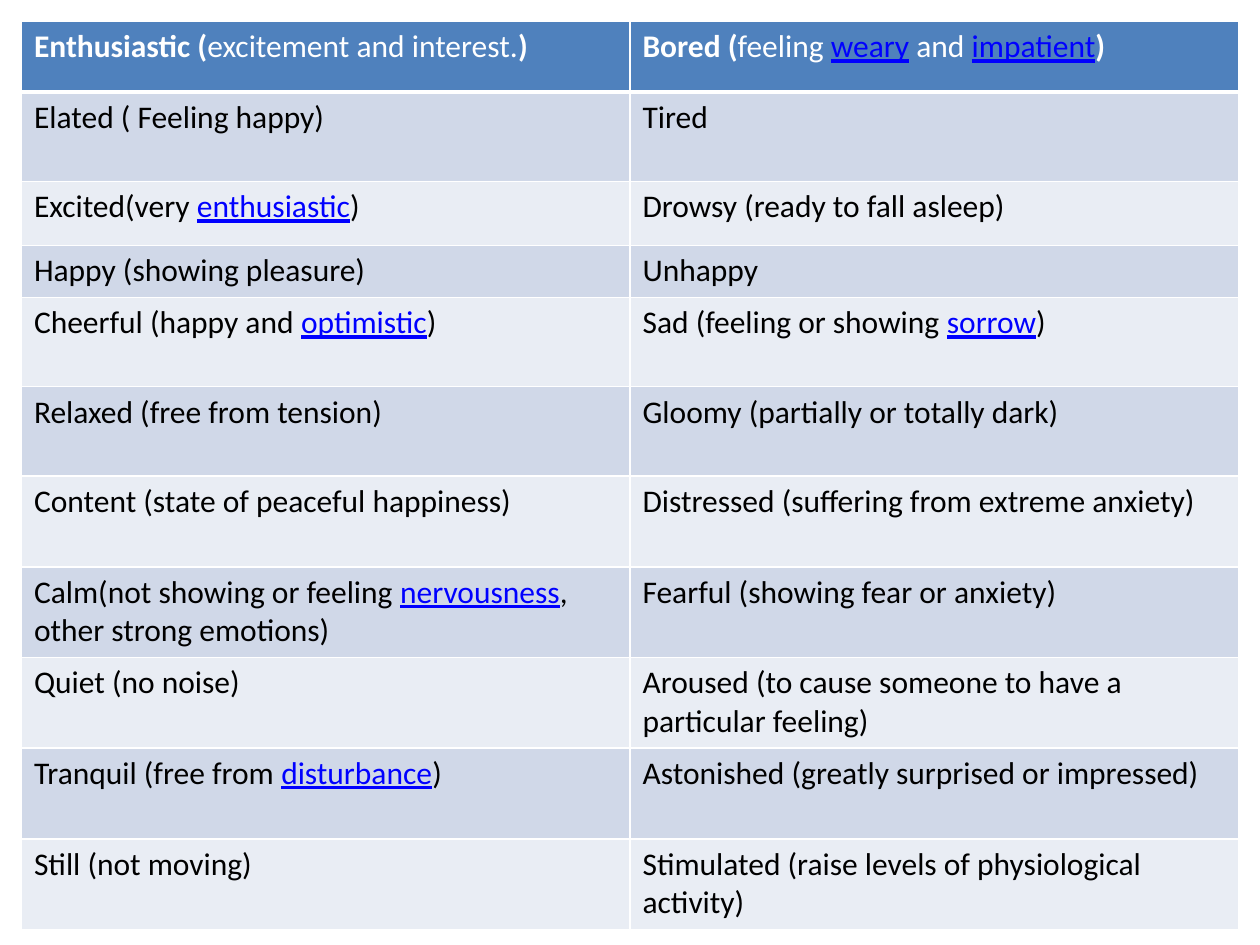
import lxml.etree
import pptx
import pptx.dml.color
import pptx.oxml.ns
import pptx.util

Inches = pptx.util.Inches
RGBColor = pptx.dml.color.RGBColor

WHITE = RGBColor(0xFF, 0xFF, 0xFF)
BLACK = RGBColor(0x00, 0x00, 0x00)
LINK_BLUE = RGBColor(0x00, 0x00, 0xFF)
HEADER_BLUE = RGBColor(0x4F, 0x81, 0xBD)
DARK_BAND = RGBColor(0xD0, 0xD8, 0xE8)
LIGHT_BAND = RGBColor(0xE9, 0xED, 0xF4)

LINK = {"color": LINK_BLUE, "underline": True}
HEADER = {"color": WHITE}
HEADER_BOLD = {"color": WHITE, "bold": True}

ROW_HEIGHTS = [0.56, 0.71, 0.51, 0.41, 0.71, 0.71] + [0.72] * 5


def linked(before, word, after=")"):
    """Return the spans of a phrase that holds one underlined word."""
    return [(before, {}), (word, LINK), (after, {})]


FEELINGS = [
    (
        [("Enthusiastic (", HEADER_BOLD), ("excitement and interest.", HEADER), (")", HEADER_BOLD)],
        [
            ("Bored (", HEADER_BOLD),
            ("feeling ", HEADER),
            ("weary", LINK),
            (" and ", HEADER),
            ("impatient", LINK),
            (")", HEADER_BOLD),
        ],
    ),
    ("Elated ( Feeling happy)", "Tired"),
    (linked("Excited(very ", "enthusiastic"), "Drowsy (ready to fall asleep)"),
    ("Happy (showing pleasure)", "Unhappy"),
    (linked("Cheerful (happy and ", "optimistic"), linked("Sad (feeling or showing ", "sorrow")),
    ("Relaxed (free from tension)", "Gloomy (partially or totally dark)"),
    ("Content (state of peaceful happiness)", "Distressed (suffering from extreme anxiety)"),
    (
        linked("Calm(not showing or feeling ", "nervousness", ", other strong emotions)"),
        "Fearful (showing fear or anxiety)",
    ),
    ("Quiet (no noise)", "Aroused (to cause someone to have a particular feeling)"),
    (linked("Tranquil (free from ", "disturbance"), "Astonished (greatly surprised or impressed)"),
    ("Still (not moving)", "Stimulated (raise levels of physiological activity)"),
]


def add_span(para, text, size=18, color=BLACK, bold=False, underline=False):
    """Append one formatted span to a paragraph."""
    span = para.add_run()
    span.text = text
    span.font.name = "Calibri"
    span.font.size = pptx.util.Pt(size)
    span.font.color.rgb = color
    span.font.bold = bold
    span.font.underline = underline


def set_borders(cell, top=1, bottom=1):
    """Draw white borders of the given point widths around a cell."""
    properties = cell._tc.get_or_add_tcPr()
    for side, width in (("lnL", 1), ("lnR", 1), ("lnT", top), ("lnB", bottom)):
        line = lxml.etree.SubElement(
            properties, pptx.oxml.ns.qn(f"a:{side}"), w=str(pptx.util.Pt(width))
        )
        fill = lxml.etree.SubElement(line, pptx.oxml.ns.qn("a:solidFill"))
        lxml.etree.SubElement(fill, pptx.oxml.ns.qn("a:srgbClr"), val=str(WHITE))


def fill_cell(cell, content, row):
    """Give a cell its borders, band colour and text."""
    set_borders(cell, top=3 if row == 1 else 1, bottom=3 if row == 0 else 1)
    cell.fill.solid()
    band = DARK_BAND if row % 2 else LIGHT_BAND
    cell.fill.fore_color.rgb = HEADER_BLUE if row == 0 else band
    spans = [(content, {})] if isinstance(content, str) else content
    for text, style in spans:
        add_span(cell.text_frame.paragraphs[0], text, **style)


def add_feelings_table(page, left, top, width):
    """Place the two-column table of feelings."""
    height = Inches(sum(ROW_HEIGHTS))
    table = page.shapes.add_table(len(FEELINGS), 2, left, top, width, height).table
    for column in table.columns:
        column.width = width // 2
    for row, contents in enumerate(FEELINGS):
        table.rows[row].height = Inches(ROW_HEIGHTS[row])
        for column, content in enumerate(contents):
            fill_cell(table.cell(row, column), content, row)


def main():
    """Build the slide and save it."""
    deck = pptx.Presentation()
    deck.slide_width, deck.slide_height = Inches(10), Inches(7.5)
    page = deck.slides.add_slide(deck.slide_layouts[6])
    add_feelings_table(page, Inches(0.17), Inches(0.17), Inches(9.66))
    deck.save("out.pptx")


if __name__ == "__main__":
    main()
